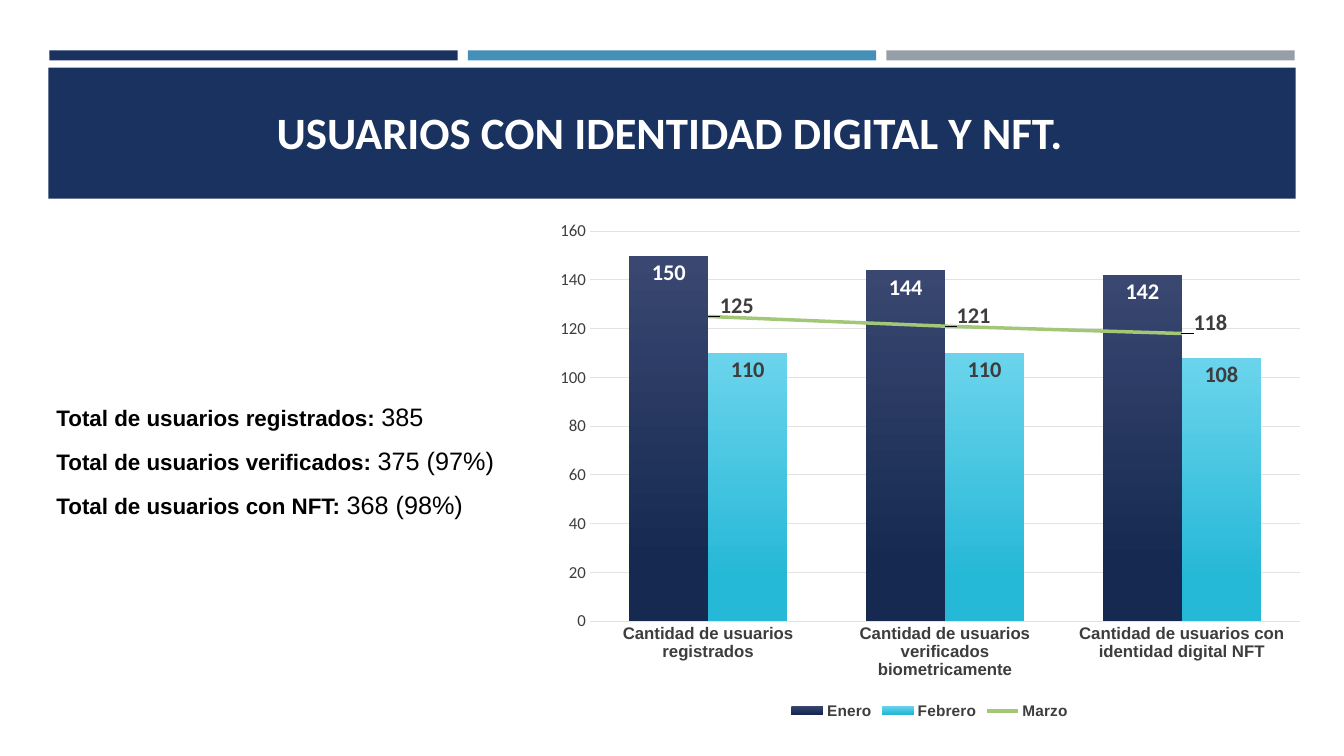
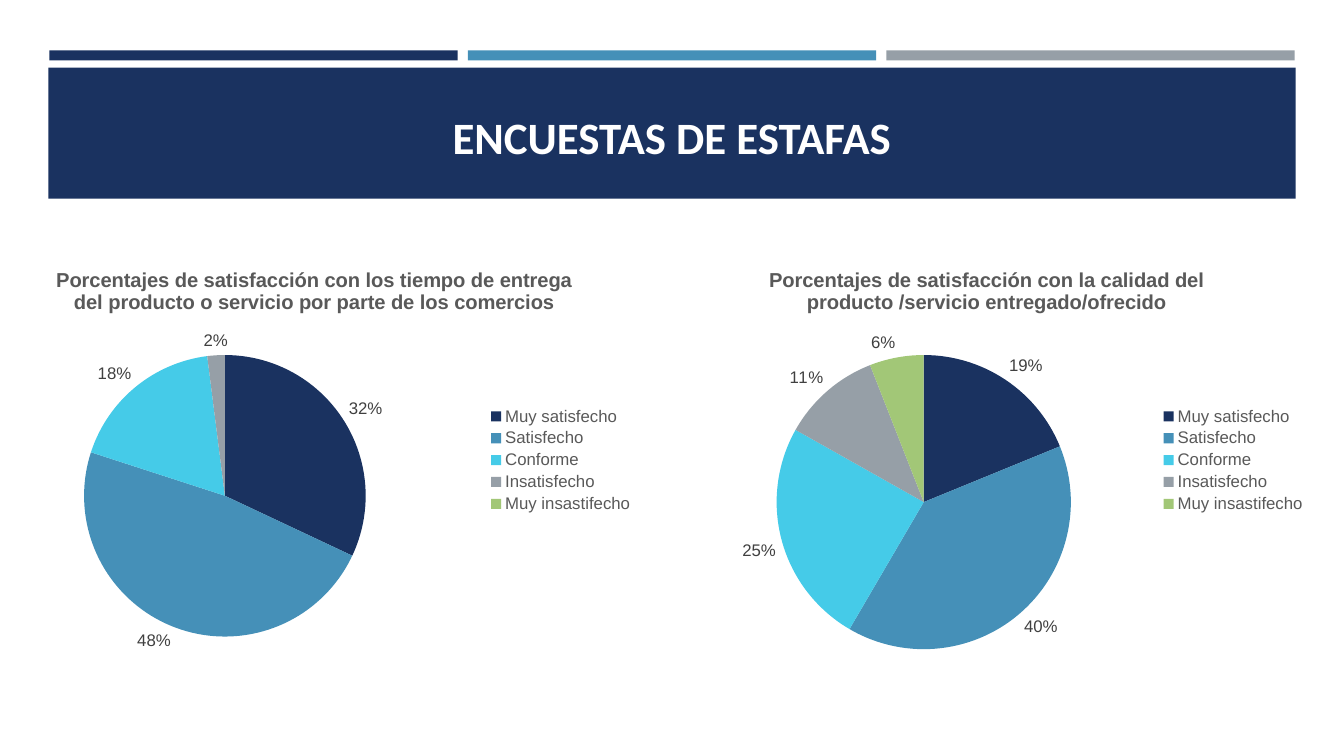
from pptx import Presentation
from pptx import util as u
from pptx.chart import data as cd
from pptx.dml.color import RGBColor
from pptx.enum import chart as ch, shapes, text
from pptx.oxml import parse_xml
from pptx.oxml.ns import nsdecls, qn

NAVY = RGBColor(0x1A, 0x32, 0x60)
BLUE = RGBColor(0x45, 0x90, 0xB8)
CYAN = RGBColor(0x45, 0xCB, 0xE8)
GREY = RGBColor(0x96, 0x9F, 0xA7)
GREEN = RGBColor(0xA2, 0xC7, 0x77)
WHITE = RGBColor(0xFF, 0xFF, 0xFF)
BLACK = RGBColor(0, 0, 0)
DARK = RGBColor(0x3D, 0x3D, 0x3D)
SOFT = RGBColor(0x59, 0x59, 0x59)
LABEL = RGBColor(0x40, 0x40, 0x40)
GRID = RGBColor(0xE2, 0xE2, 0xE2)
NAVY_TOP, NAVY_END = RGBColor(0x39, 0x47, 0x71), RGBColor(0x16, 0x2A, 0x51)
CYAN_TOP, CYAN_END = RGBColor(0x6B, 0xD4, 0xEC), RGBColor(0x26, 0xB8, 0xD7)


def style(font, size, color, bold=False, name="Arial"):
    font.size, font.bold, font.name = u.Pt(size), bold, name
    font.color.rgb = color


def place(node, index, mode, **sizes):
    """Give a chart part a manual layout, in fractions of the chart."""
    for old in node.findall(qn("c:layout")):
        node.remove(old)
    vals = "".join(f'<c:{key} val="{val}"/>' for key, val in sizes.items())
    node.insert(index, parse_xml(
        f"<c:layout {nsdecls('c')}><c:manualLayout>{mode}{vals}"
        "</c:manualLayout></c:layout>"))


INNER = ('<c:layoutTarget val="inner"/>'
         '<c:xMode val="edge"/><c:yMode val="edge"/>')

prs = Presentation()
prs.slide_width, prs.slide_height = u.Inches(13.33), u.Inches(7.5)

# Slides with their titles
heads = [
    (1, "USUARIOS CON IDENTIDAD DIGITAL Y NFT.", 0.46, 0.74, 0.88),
    (5, "ENCUESTAS DE ESTAFAS", 0.48, 0.85, 0.82),
]
for num, words, left, top, high in heads:
    slide = prs.slides.add_slide(prs.slide_layouts[num])
    title = slide.shapes.title
    title.left, title.top = u.Inches(left), u.Inches(top)
    title.width, title.height = u.Inches(12.37), u.Inches(high)
    frame = title.text_frame
    frame.text = words
    frame.auto_size = text.MSO_AUTO_SIZE.NONE
    frame.vertical_anchor = text.MSO_ANCHOR.BOTTOM
    para = frame.paragraphs[0]
    para.alignment = text.PP_ALIGN.CENTER
    style(para.font, 32, WHITE, True, "Calibri")
users, polls = prs.slides

# Bands, moved to the master that all slides share
bands = [(0.49 + 4.15 * i, 0.5, 4.05, 0.1, color)
         for i, color in enumerate((NAVY, BLUE, GREY))]
bands.append((0.48, 0.67, 12.37, 1.3, NAVY))
for *box, color in bands:
    band = users.shapes.add_shape(
        shapes.MSO_SHAPE.RECTANGLE, *map(u.Inches, box))
    band.shadow.inherit = False
    band.fill.solid()
    band.fill.fore_color.rgb = color
    band.line.fill.background()
    prs.slide_master.shapes.element.insert(2, band.element)

# Totals
body = users.placeholders[1]
body.left, body.top = u.Inches(0.46), u.Inches(3.87)
body.width, body.height = u.Inches(4.61), u.Inches(1.4)
frame = body.text_frame
frame.auto_size = text.MSO_AUTO_SIZE.NONE
frame.vertical_anchor = text.MSO_ANCHOR.MIDDLE
totals = [
    ("Total de usuarios registrados: ", "385"),
    ("Total de usuarios verificados: ", "375 (97%)"),
    ("Total de usuarios con NFT: ", "368 (98%)"),
]
for i, (name, count) in enumerate(totals):
    para = frame.add_paragraph() if i else frame.paragraphs[0]
    props = para._p.get_or_add_pPr()
    props.set("marL", "0")
    props.set("indent", "0")
    props.append(parse_xml(f"<a:buNone {nsdecls('a')}/>"))
    para.space_before = u.Pt(10 if i else 0)
    for words, size, bold in ((name, 16, True), (count, 18, False)):
        run = para.add_run()
        run.text = words
        style(run.font, size, BLACK, bold)

# Users chart: columns
data = cd.CategoryChartData()
data.categories = [
    "Cantidad de usuarios registrados",
    "Cantidad de usuarios verificados biometricamente",
    "Cantidad de usuarios con identidad digital NFT",
]
data.add_series("Enero", (150, 144, 142))
data.add_series("Febrero", (110, 110, 108))
data.add_series("Marzo", (125, 121, 118))
chart = users.shapes.add_chart(
    ch.XL_CHART_TYPE.COLUMN_CLUSTERED, u.Inches(5.39), u.Inches(2.09),
    u.Inches(7.66), u.Inches(5.09), data).chart
chart.has_title = False
style(chart.font, 10, BLACK, name="Calibri")
chart.has_legend = True
chart.legend.position = ch.XL_LEGEND_POSITION.BOTTOM
chart.legend.include_in_layout = False
style(chart.legend.font, 11, DARK, True)

# Users chart: third series becomes a line
area = chart.element.xpath("//c:plotArea")[0]
place(area, 0, INNER, x=0.06, y=0.04, w=0.92, h=0.76)
bars = area.find(qn("c:barChart"))
march = bars.findall(qn("c:ser"))[2]
for flag in march.findall(qn("c:invertIfNegative")):
    march.remove(flag)
ids = "".join(f'<c:axId val="{axis.get("val")}"/>'
              for axis in bars.findall(qn("c:axId")))
lines = parse_xml(
    f"<c:lineChart {nsdecls('c')}><c:grouping val=\"standard\"/>"
    f'<c:varyColors val="0"/><c:marker val="1"/>{ids}</c:lineChart>')
lines.insert(2, march)
bars.addnext(lines)

# Users chart: axes
cats, vals = chart.category_axis, chart.value_axis
for axis in (cats, vals):
    axis.major_tick_mark = axis.minor_tick_mark = ch.XL_TICK_MARK.NONE
style(cats.tick_labels.font, 12, DARK, True)
style(vals.tick_labels.font, 12, DARK, name="Calibri")
vals.minimum_scale, vals.maximum_scale, vals.major_unit = 0, 160, 20
vals.format.line.fill.background()
for line in (cats.format.line, vals.major_gridlines.format.line):
    line.color.rgb = GRID
    line.width = u.Pt(0.75)

# Users chart: series and labels
cols, trend = chart.plots
cols.gap_width, cols.overlap = 100, 0
cols.vary_by_categories = False
looks = [(NAVY_TOP, NAVY_END, WHITE), (CYAN_TOP, CYAN_END, DARK)]
for bar, (top, end, ink) in zip(cols.series, looks):
    fill = bar.format.fill
    fill.gradient()
    fill.gradient_angle = 270
    for stop, color, pos in zip(fill.gradient_stops, (top, end), (0, 0.84)):
        stop.color.rgb = color
        stop.position = pos
    tags = bar.data_labels
    tags.show_value = True
    tags.position = ch.XL_LABEL_POSITION.INSIDE_END
    style(tags.font, 16, ink, True, "Calibri")

month = trend.series[0]
month.smooth = False
month.marker.style = ch.XL_MARKER_STYLE.NONE
month.format.line.color.rgb = GREEN
month.format.line.width = u.Pt(2.5)
for i in range(3):
    tag = month.points[i].data_label
    style(tag.font, 16, DARK, True, "Calibri")
    tag.position = ch.XL_LABEL_POSITION.RIGHT
for node in march.findall(f"{qn('c:dLbls')}/{qn('c:dLbl')}"):
    place(node, 1, "", x=0.01, y=-0.02)

# Survey pies
grades = ["Muy satisfecho", "Satisfecho", "Conforme", "Insatisfecho",
          "Muy insastifecho"]
pies = [
    (-0.16, "Porcentajes de satisfacción con los tiempo de entrega del "
     "producto o servicio por parte de los comercios",
     (0.32, 0.48, 0.18, 0.02, 0), dict(x=0.15, y=0.25, w=0.43, h=0.67)),
    (6.51, "Porcentajes de satisfacción con la calidad del producto "
     "/servicio entregado/ofrecido",
     (0.19, 0.4, 0.25, 0.11, 0.06), dict(x=0.18, y=0.25, w=0.45, h=0.7)),
]
for left, words, shares, spot in pies:
    data = cd.CategoryChartData(number_format="0%")
    data.categories = grades
    data.add_series("Series 1", shares)
    chart = polls.shapes.add_chart(
        ch.XL_CHART_TYPE.PIE, u.Inches(left), u.Inches(2.48),
        u.Inches(6.55), u.Inches(4.17), data).chart
    style(chart.font, 12, BLACK)
    place(chart.element.xpath("//c:plotArea")[0], 0, INNER, **spot)
    chart.has_title = True
    frame = chart.chart_title.text_frame
    frame.text = words
    style(frame.paragraphs[0].font, 14.4, SOFT, True)
    chart.has_legend = True
    chart.legend.position = ch.XL_LEGEND_POSITION.RIGHT
    chart.legend.include_in_layout = False
    style(chart.legend.font, 12, SOFT)
    plot = chart.plots[0]
    plot.vary_by_categories = True
    pie = plot.series[0]
    for i, color in enumerate((NAVY, BLUE, CYAN, GREY, GREEN)):
        fill = pie.points[i].format.fill
        fill.solid()
        fill.fore_color.rgb = color
    tags = pie.data_labels
    tags.show_value = True
    tags.show_percentage = False
    tags.number_format = "0%;;"  # a zero share gets no label
    tags.number_format_is_linked = False
    tags.position = ch.XL_LABEL_POSITION.OUTSIDE_END
    style(tags.font, 12, LABEL)

prs.save("out.pptx")
